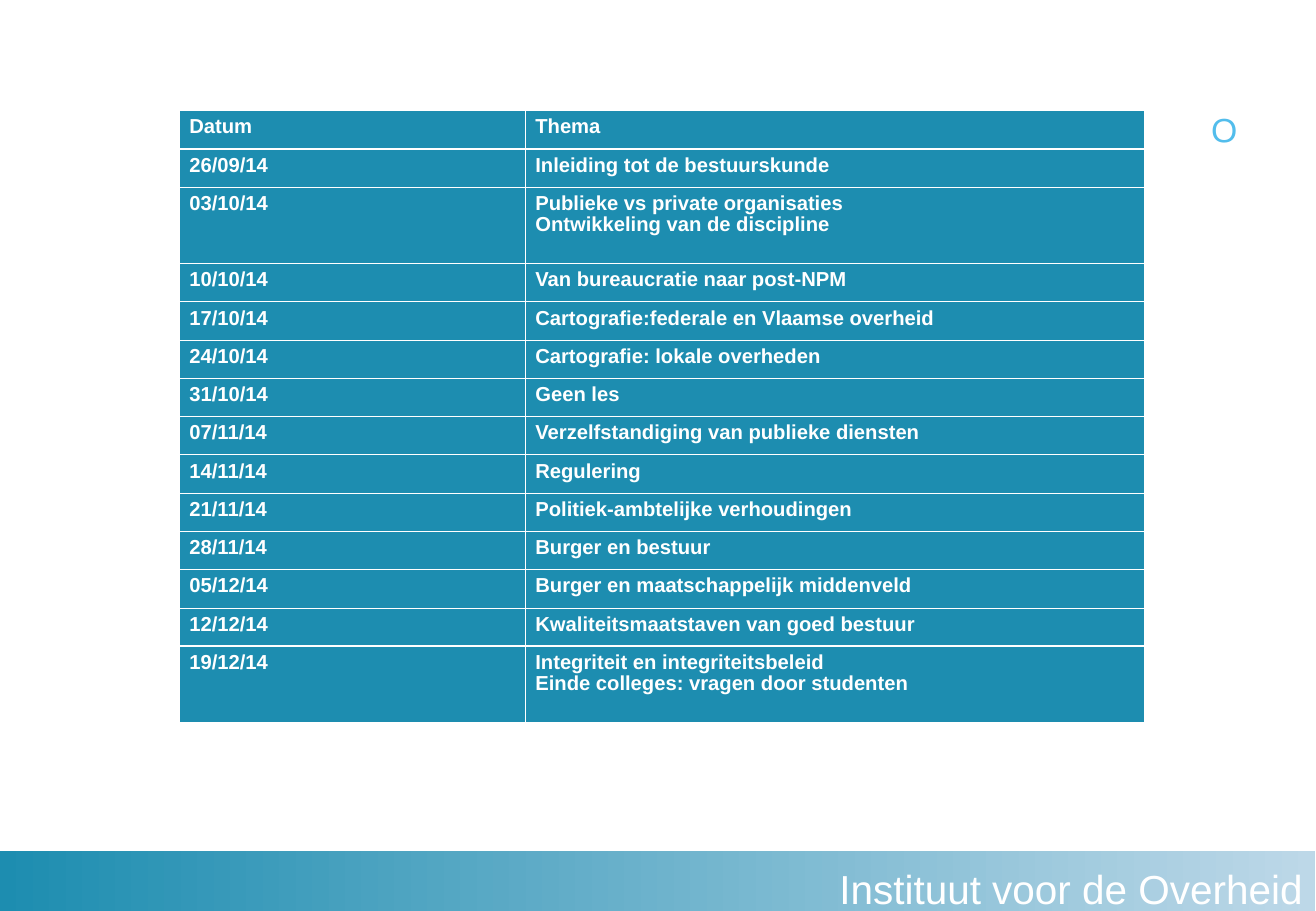
"""Course schedule slide with dates and themes, above the institute's footer band."""
from lxml import etree
from pptx import Presentation
from pptx.dml.color import RGBColor
from pptx.enum import shapes, text
from pptx.oxml.ns import qn
from pptx.util import Inches, Pt

TEAL = RGBColor(0x1D, 0x8D, 0xB0)
PALE_BLUE = RGBColor(0xBD, 0xD8, 0xE8)
SKY_BLUE = RGBColor(0x52, 0xBD, 0xEC)
WHITE = RGBColor(0xFF, 0xFF, 0xFF)

SCHEDULE = [
    ("Datum", ["Thema"]),
    ("26/09/14", ["Inleiding tot de bestuurskunde"]),
    ("03/10/14", ["Publieke vs private organisaties", "Ontwikkeling van de discipline"]),
    ("10/10/14", ["Van bureaucratie naar post-NPM"]),
    ("17/10/14", ["Cartografie:federale en Vlaamse overheid"]),
    ("24/10/14", ["Cartografie: lokale overheden"]),
    ("31/10/14", ["Geen les"]),
    ("07/11/14", ["Verzelfstandiging van publieke diensten"]),
    ("14/11/14", ["Regulering"]),
    ("21/11/14", ["Politiek-ambtelijke verhoudingen"]),
    ("28/11/14", ["Burger en bestuur"]),
    ("05/12/14", ["Burger en maatschappelijk middenveld"]),
    ("12/12/14", ["Kwaliteitsmaatstaven van goed bestuur"]),
    ("19/12/14", ["Integriteit en integriteitsbeleid", "Einde colleges: vragen door studenten"]),
]
THIN, THICK = 0.45, 1.47
THICK_RULES = {1, len(SCHEDULE) - 1}


def add_run(paragraph, wording, size, color, bold=False):
    run = paragraph.add_run()
    run.text = wording
    run.font.name = "Arial"
    run.font.size = Pt(size)
    run.font.bold = bold
    run.font.color.rgb = color


def add_border(cell, side, width):
    line = etree.SubElement(cell._tc.get_or_add_tcPr(), qn(f"a:{side}"), w=str(Pt(width)))
    fill = etree.SubElement(line, qn("a:solidFill"))
    etree.SubElement(fill, qn("a:srgbClr"), val=str(WHITE))


prs = Presentation()
prs.slide_width, prs.slide_height = Inches(10.84), Inches(7.5)
slide = prs.slides.add_slide(prs.slide_layouts[6])

footer = slide.shapes.add_shape(
    shapes.MSO_SHAPE.RECTANGLE, Inches(0), Inches(7.01), Inches(10.83), Inches(0.53))
footer.shadow.inherit = False
footer.line.fill.background()
footer.fill.gradient()
footer.fill.gradient_angle = 0
for stop, color in zip(footer.fill.gradient_stops, (TEAL, PALE_BLUE)):
    stop.color.rgb = color
footer.text_frame.word_wrap = True
footer.text_frame.vertical_anchor = text.MSO_ANCHOR.MIDDLE
institute = footer.text_frame.paragraphs[0]
institute.alignment = text.PP_ALIGN.RIGHT
institute.line_spacing = 1.2
add_run(institute, "Instituut voor de Overheid", 24, WHITE)

title = slide.shapes.add_textbox(Inches(0.54), Inches(0.21), Inches(9.75), Inches(1.1))
title.rotation = 180
title.text_frame.word_wrap = True
add_run(title.text_frame.paragraphs[0], "O", 20, SKY_BLUE)

schedule = slide.shapes.add_table(
    len(SCHEDULE), 2, Inches(1.48), Inches(0.91), Inches(7.95), Inches(5.04)).table
schedule.columns[0].width, schedule.columns[1].width = Inches(2.85), Inches(5.1)
line_height = Inches(5.04) // sum(len(themes) for _, themes in SCHEDULE)

for row, (date, themes) in enumerate(SCHEDULE):
    schedule.rows[row].height = line_height * len(themes)
    for column, lines in enumerate(([date], themes)):
        cell = schedule.cell(row, column)
        cell.margin_left = cell.margin_right = Inches(0.08)
        cell.margin_top = cell.margin_bottom = Inches(0.05)
        add_border(cell, "lnL", THIN)
        add_border(cell, "lnR", THIN)
        add_border(cell, "lnT", THICK if row in THICK_RULES else THIN)
        add_border(cell, "lnB", THICK if row + 1 in THICK_RULES else THIN)
        cell.fill.solid()
        cell.fill.fore_color.rgb = TEAL
        for index, wording in enumerate(lines):
            paragraph = cell.text_frame.add_paragraph() if index else cell.text_frame.paragraphs[0]
            paragraph.line_spacing = 0.95
            add_run(paragraph, wording, 12, WHITE, bold=True)

prs.save("out.pptx")
